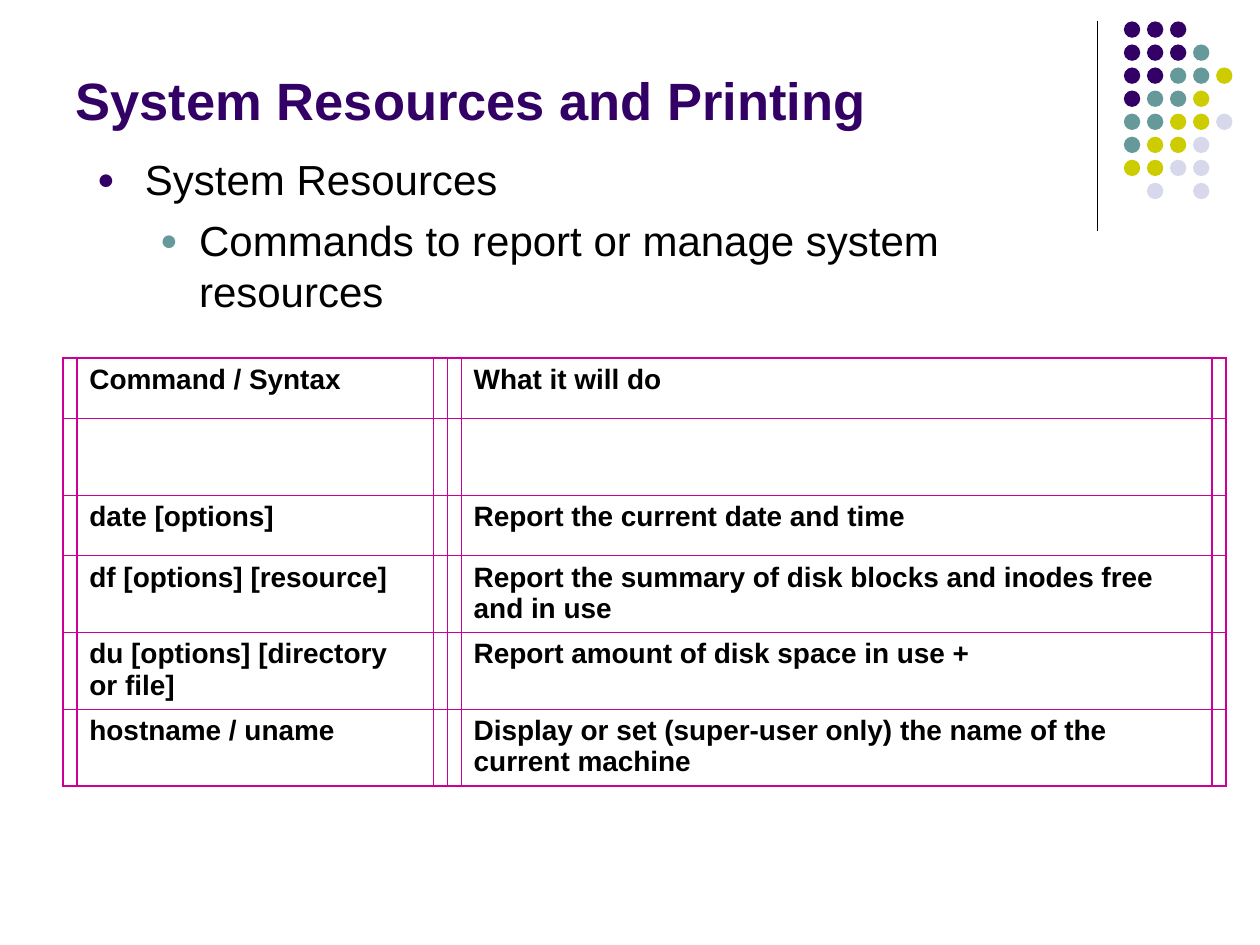
from lxml.etree import SubElement, fromstring
from pptx import Presentation
from pptx.dml.color import RGBColor as RGB
from pptx.enum.shapes import MSO_CONNECTOR as CONNECTOR, MSO_SHAPE as SHAPE
from pptx.enum.text import MSO_ANCHOR as ANCHOR, MSO_AUTO_SIZE as AUTO, PP_ALIGN as ALIGN
from pptx.oxml.ns import nsdecls, qn
from pptx.util import Inches, Pt

PURPLE = RGB(0x33, 0x00, 0x66)
TEAL = RGB(0x66, 0x99, 0x99)
OLIVE = RGB(0xCC, 0xCC, 0x00)
LAVENDER = RGB(0xD8, 0xD8, 0xEC)
MAGENTA = RGB(0xCC, 0x00, 0x99)
BLACK = RGB(0x00, 0x00, 0x00)

# Content
TITLE = "System Resources and Printing"
# text, bullet colour, left margin, hanging indent
OUTLINE = [
    ("System Resources", PURPLE, 0.38, 0.38),
    ("Commands to report or manage system resources", TEAL, 0.81, 0.31),
]
COMMANDS = [
    ("Command / Syntax", "What it will do"),
    ("", ""),
    ("date [options]", "Report the current date and time"),
    ("df [options] [resource]",
     "Report the summary of disk blocks and inodes free and in use"),
    ("du [options] [directory or file]", "Report amount of disk space in use +"),
    ("hostname / uname",
     "Display or set (super-user only) the name of the current machine"),
]
DOT_ROWS = ["PPP", "PPPT", "PPTTO", "PTTO", "TTOOL", "TOOL", "OOLL", " L L"]
DOT_COLORS = {"P": PURPLE, "T": TEAL, "O": OLIVE, "L": LAVENDER}

# Layout in inches
TITLE_BOX = (0.5, -0.33, 8.25, 1.42)
BODY_BOX = (0.67, 1.17, 8.5, 5)
TABLE_LEFT, TABLE_TOP = 0.5, 2.84
GUTTER = 0.11
COLUMN_WIDTHS = [GUTTER, 2.83, GUTTER, GUTTER, 5.96, GUTTER]
ROW_HEIGHTS = [0.48, 0.61, 0.48, 0.61, 0.61, 0.61]
TEXT_COLUMNS = (1, 4)
DOT_LEFT, DOT_TOP, DOT_SIZE, DOT_PITCH = 8.92, 0.17, 0.13, 0.183

TITLE_FONT = {"name": "Arial", "size": Pt(30), "bold": True}
BODY_FONT = {"name": "Arial", "size": Pt(24), "bold": False}
CELL_FONT = {"name": "Arial", "size": Pt(16), "bold": True}


def write(paragraph, text, font, color):
    run = paragraph.add_run()
    run.text = text
    for key, value in font.items():
        setattr(run.font, key, value)
    run.font.color.rgb = color


def place(placeholder, box, anchor):
    edges = ("left", "top", "width", "height")
    for edge, length in zip(edges, box):
        setattr(placeholder, edge, Inches(length))
    frame = placeholder.text_frame
    frame.auto_size = AUTO.NONE
    frame.word_wrap = True
    frame.vertical_anchor = anchor
    return frame


def add_bullet(paragraph, color, margin, hanging):
    props = paragraph._p.get_or_add_pPr()
    props.set("marL", str(Inches(margin)))
    props.set("indent", str(-Inches(hanging)))
    tint = SubElement(props, qn("a:buClr"))
    SubElement(tint, qn("a:srgbClr"), val=str(color))
    SubElement(props, qn("a:buSzPct"), val="70000")
    SubElement(props, qn("a:buFont"), typeface="Arial")
    SubElement(props, qn("a:buChar"), char="●")


def add_borders(cell, widths):
    props = cell._tc.get_or_add_tcPr()
    for position, (side, width) in enumerate(widths.items()):
        props.insert(position, fromstring(
            f'<a:ln{side} {nsdecls("a")} w="{Pt(width)}"><a:solidFill>'
            f'<a:srgbClr val="{MAGENTA}"/></a:solidFill></a:ln{side}>'))


def add_commands(slide):
    rows, columns = len(ROW_HEIGHTS), len(COLUMN_WIDTHS)
    table = slide.shapes.add_table(
        rows, columns, Inches(TABLE_LEFT), Inches(TABLE_TOP),
        Inches(sum(COLUMN_WIDTHS)), Inches(sum(ROW_HEIGHTS))).table
    table.first_row = table.horz_banding = False
    for column, width in zip(table.columns, COLUMN_WIDTHS):
        column.width = Inches(width)
    for r, (row, height) in enumerate(zip(table.rows, ROW_HEIGHTS)):
        row.height = Inches(height)
        texts = dict(zip(TEXT_COLUMNS, COMMANDS[r]))
        for c, cell in enumerate(row.cells):
            cell.fill.background()
            inset = 0.1 if c in texts else 0
            cell.margin_left = cell.margin_right = Inches(inset)
            cell.margin_top, cell.margin_bottom = Inches(0.05), 0
            if texts.get(c):
                write(cell.text_frame.paragraphs[0], texts[c], CELL_FONT, BLACK)
            add_borders(cell, {
                "L": 1 if c < 3 else 0.5 if c < 5 else 1,
                "R": 1 if c in (0, 1, 4, 5) else 0.5,
                "T": 1 if r == 0 else 0.75,
                "B": 1 if r == rows - 1 else 0.75})


def add_dots(slide):
    dots = slide.shapes.add_group_shape().shapes
    for r, row in enumerate(DOT_ROWS):
        for c, code in enumerate(row):
            if code == " ":
                continue
            dot = dots.add_shape(
                SHAPE.OVAL, Inches(DOT_LEFT + c * DOT_PITCH),
                Inches(DOT_TOP + r * DOT_PITCH), Inches(DOT_SIZE), Inches(DOT_SIZE))
            dot.shadow.inherit = False
            dot.fill.solid()
            dot.fill.fore_color.rgb = DOT_COLORS[code]
            dot.line.fill.background()


def main():
    deck = Presentation()
    deck.slide_width, deck.slide_height = Inches(10), Inches(7.5)
    slide = deck.slides.add_slide(deck.slide_layouts[1])

    # Corner decoration
    rule = slide.shapes.add_connector(
        CONNECTOR.STRAIGHT, Inches(8.71), Inches(0.17), Inches(8.71), Inches(1.83))
    rule.line.color.rgb = BLACK
    rule.line.width = Pt(0.75)
    SubElement(rule._element.spPr, qn("a:effectLst"))
    add_dots(slide)

    # Title
    heading = place(slide.shapes.title, TITLE_BOX, ANCHOR.BOTTOM).paragraphs[0]
    heading.alignment = ALIGN.LEFT
    write(heading, TITLE, TITLE_FONT, PURPLE)

    # Bulleted outline
    outline = place(slide.placeholders[1], BODY_BOX, ANCHOR.TOP)
    outline.margin_right = Inches(0.2)
    for level, (text, color, margin, hanging) in enumerate(OUTLINE):
        item = outline.add_paragraph() if level else outline.paragraphs[0]
        item.level = level
        item.space_before = Pt(6 if level else 0)
        add_bullet(item, color, margin, hanging)
        write(item, text, BODY_FONT, BLACK)

    # Command table
    add_commands(slide)
    deck.save("out.pptx")


if __name__ == "__main__":
    main()
